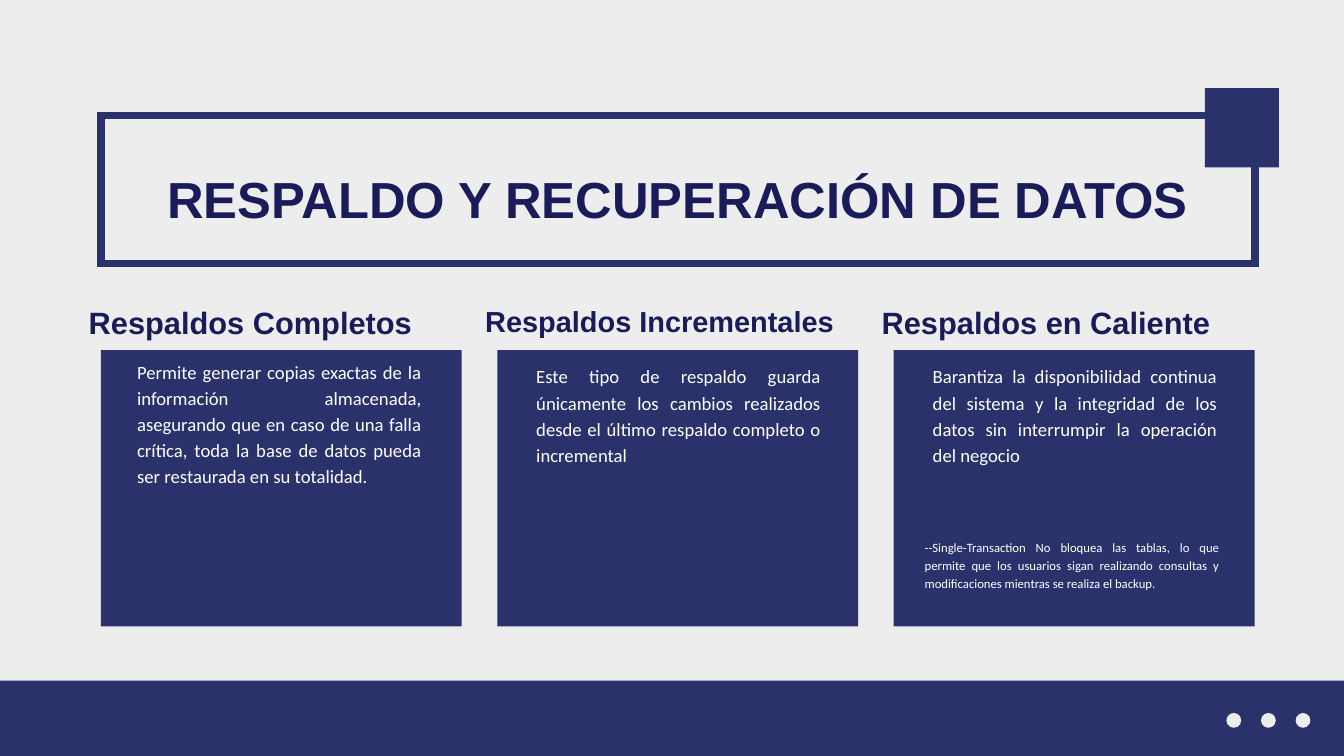
import pptx
import pptx.util
import pptx.dml.color
import pptx.enum.shapes
import pptx.enum.text
import pptx.oxml.ns
from lxml import etree

Inches = pptx.util.Inches
Pt = pptx.util.Pt
ALIGN = pptx.enum.text.PP_ALIGN
SHAPE = pptx.enum.shapes.MSO_SHAPE

NAVY = "2B326B"
INK = "191C59"
PAPER = "EDEDED"
WHITE = "FFFFFF"

HEADING = {"name": "Arial", "color": INK, "bold": True}
BODY = {"name": "Calibri", "color": WHITE, "bold": False}

COLUMNS = [
    ("Respaldos Completos", 33, 40.6, 2.04, 5.31, 2.31,
     "Permite generar copias exactas de la información almacenada, asegurando que en caso "
     "de una falla crítica, toda la base de datos pueda ser restaurada en su totalidad."),
    ("Respaldos Incrementales", 31, 38.1, 7.98, 5.38, 1.54,
     "Este tipo de respaldo guarda únicamente los cambios realizados desde el último "
     "respaldo completo o incremental"),
    ("Respaldos en Caliente", 33, 40.6, 13.88, 5.38, 1.92,
     "Barantiza la disponibilidad continua del sistema y la integridad de los datos sin "
     "interrumpir la operación del negocio"),
]
NOTE = ("--Single-Transaction No bloquea las tablas, lo que permite que los usuarios sigan "
        "realizando consultas y modificaciones mientras se realiza el backup.")


def rgb(value):
    return pptx.dml.color.RGBColor.from_string(value)


def add_block(slide, kind, box, fill):
    block = slide.shapes.add_shape(kind, *map(Inches, box))
    block.shadow.inherit = False
    block.fill.solid()
    block.fill.fore_color.rgb = rgb(fill)
    block.line.fill.background()
    return block


def add_frame(slide, box, color, width):
    frame = add_block(slide, SHAPE.RECTANGLE, box, color)
    frame.fill.background()
    frame.line.color.rgb = rgb(color)
    frame.line.width = Pt(width)
    outline = frame.line._get_or_add_ln()
    etree.SubElement(outline, pptx.oxml.ns.qn("a:miter"), lim="800000")


def write_text(holder, text, size, spacing, align, style):
    frame = holder.text_frame
    settings = {
        "margin_left": 0, "margin_right": 0, "margin_top": 0, "margin_bottom": 0,
        "word_wrap": True,
        "vertical_anchor": pptx.enum.text.MSO_ANCHOR.TOP,
        "auto_size": pptx.enum.text.MSO_AUTO_SIZE.SHAPE_TO_FIT_TEXT,
    }
    for key, value in settings.items():
        setattr(frame, key, value)
    paragraph = frame.paragraphs[0]
    paragraph.alignment = align
    paragraph.line_spacing = Pt(spacing)
    run = paragraph.add_run()
    run.text = text
    for key, value in {"name": style["name"], "bold": style["bold"], "size": Pt(size)}.items():
        setattr(run.font, key, value)
    run.font.color.rgb = rgb(style["color"])


def add_text(slide, box, text, size, spacing, align, style):
    holder = slide.shapes.add_textbox(*map(Inches, box))
    write_text(holder, text, size, spacing, align, style)


def place_title(slide, box, text):
    title = slide.shapes.title
    for key, value in zip(("left", "top", "width", "height"), box):
        setattr(title, key, Inches(value))
    write_text(title, text, 54.3, 66.8, ALIGN.CENTER, HEADING)


def add_column(slide, index, column):
    heading, size, spacing, body_left, body_top, body_height, body = column
    offset = index * 5.9
    add_block(slide, SHAPE.RECTANGLE, (1.5 + offset, 5.21, 5.37, 4.11), NAVY)
    add_text(slide, (body_left, body_top, 4.23, body_height), body, 20, 28, ALIGN.JUSTIFY, BODY)
    add_text(slide, (1.32 + offset, 4.5, 5.56, 0.56), heading, size, spacing, ALIGN.LEFT, HEADING)


def main():
    deck = pptx.Presentation()
    deck.slide_width = Inches(20)
    deck.slide_height = Inches(11.25)
    slide = deck.slides.add_slide(deck.slide_layouts[5])
    slide.background.fill.solid()
    slide.background.fill.fore_color.rgb = rgb(PAPER)

    add_block(slide, SHAPE.RECTANGLE, (-1.46, 10.13, 22.14, 3.38), NAVY)
    add_frame(slide, (1.5, 1.72, 17.18, 2.2), NAVY, 8.25)
    place_title(slide, (2.04, 2.47, 16.1, 0.92), "RESPALDO Y RECUPERACIÓN DE DATOS")
    add_block(slide, SHAPE.RECTANGLE, (17.93, 1.31, 1.1, 1.18), NAVY)
    for index in range(3):
        add_block(slide, SHAPE.OVAL, (18.25 + index * 0.515, 10.61, 0.22, 0.22), PAPER)
    for index, column in enumerate(COLUMNS):
        add_column(slide, index, column)
    add_text(slide, (13.76, 8, 4.38, 1.04), NOTE, 13.6, 19, ALIGN.JUSTIFY, BODY)

    deck.save("out.pptx")


if __name__ == "__main__":
    main()
